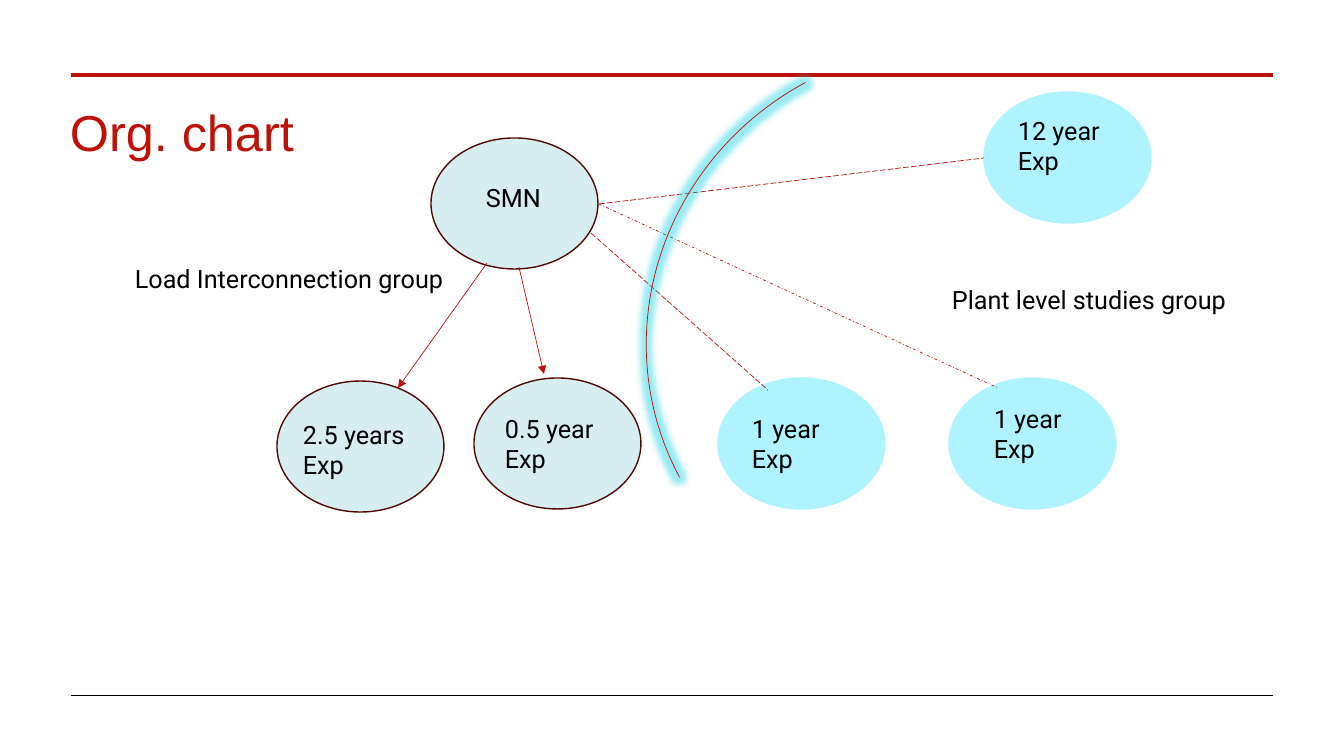
import pptx
import pptx.dml.color
import pptx.enum.dml
import pptx.enum.shapes
import pptx.enum.text
import pptx.oxml
import pptx.oxml.ns
import pptx.util

RED, BLACK, MAROON = "BD1209", "000000", "530804"
PALE, CYAN, GLOW = "D7EEF1", "AEF3FF", "00CCE0"
DASH = pptx.enum.dml.MSO_LINE
SHAPE = pptx.enum.shapes.MSO_SHAPE


def px(n):
    return round(n * 914400 / 100.8)


def color(code):
    return pptx.dml.color.RGBColor.from_string(code)


def add_xml(node, xml):
    node.append(pptx.oxml.parse_xml(xml.replace(" ", f" {pptx.oxml.ns.nsdecls('a')} ", 1)))


class Chart:
    """Draws the parts of an org chart on one slide."""

    def __init__(self, slide, font="Roboto", size=18):
        self.items = slide.shapes
        self.font = font
        self.size = size

    def line(self, x1, y1, x2, y2, hue=RED, width=0.5, dash=None, arrow=False):
        link = self.items.add_connector(
            pptx.enum.shapes.MSO_CONNECTOR.STRAIGHT, px(x1), px(y1), px(x2), px(y2))
        link.line.color.rgb = color(hue)
        link.line.width = pptx.util.Pt(width)
        if dash:
            link.line.dash_style = dash
        if arrow:
            add_xml(link._element.spPr.ln, '<a:tailEnd type="triangle"/>')
        add_xml(link._element.spPr, "<a:effectLst />")

    def oval(self, x, y, fill, edge):
        oval = self.items.add_shape(SHAPE.OVAL, px(x), px(y), px(167), px(131))
        oval.shadow.inherit = False
        oval.fill.solid()
        oval.fill.fore_color.rgb = color(fill)
        oval.line.color.rgb = color(edge)
        oval.line.width = pptx.util.Pt(1)

    def arc(self, x, y, w, h, turn):
        arc = self.items.add_shape(SHAPE.ARC, px(x), px(y), px(w), px(h))
        arc.rotation = turn
        arc.fill.background()
        arc.line.color.rgb = color(RED)
        arc.line.width = pptx.util.Pt(0.5)
        add_xml(arc._element.spPr,
                f'<a:effectLst ><a:glow rad="{px(11)}"><a:srgbClr val="{GLOW}">'
                '<a:alpha val="40000"/></a:srgbClr></a:glow></a:effectLst>')

    def text(self, x, y, w, h, *rows, font=None, size=None, hue=BLACK, space=1.0, wrap=False):
        frame = self.items.add_textbox(px(x), px(y), px(w), px(h)).text_frame
        frame.word_wrap = wrap
        if not wrap:
            frame.auto_size = pptx.enum.text.MSO_AUTO_SIZE.SHAPE_TO_FIT_TEXT
        frame.text = "\n".join(rows)
        for para in frame.paragraphs:
            para.line_spacing = space
            para.font.name = font or self.font
            para.font.size = pptx.util.Pt(size or self.size)
            para.font.color.rgb = color(hue)


def main():
    deck = pptx.Presentation()
    deck.slide_width, deck.slide_height = px(1344), px(756)
    chart = Chart(deck.slides.add_slide(deck.slide_layouts[6]))

    chart.line(71, 75, 1273, 75, width=3)
    chart.line(71, 695, 1273, 695, hue=BLACK)
    chart.text(60, 105, 1212, 119, "Org. chart",
               font="Arial", size=36, hue=RED, space=0.85, wrap=True)

    for x, y in ((431, 138), (277, 381), (474, 378)):
        chart.oval(x, y, PALE, MAROON)
    for x, y in ((718, 378), (949, 378), (984, 92)):
        chart.oval(x, y, CYAN, CYAN)

    chart.line(591, 233, 768, 390, dash=DASH.LONG_DASH)
    chart.line(599, 204, 998, 388, dash=DASH.DASH_DOT)
    chart.line(599, 204, 984, 158, dash=DASH.LONG_DASH)
    chart.line(487, 263, 398, 388, arrow=True)
    chart.line(519, 267, 544, 374, arrow=True)
    chart.arc(654, 38, 576, 596, 241.7)

    for x, y, w, name in ((476, 177, 79, "SMN"),
                          (125, 258, 339, "Load Interconnection group"),
                          (942, 279, 297, "Plant level studies group")):
        chart.text(x, y, w, 40, name)
    for x, y, w, time in ((293, 414, 138, "2.5 years"), (495, 408, 118, "0.5 year"),
                          (742, 408, 97, "1 year"), (984, 398, 97, "1 year"),
                          (1008, 110, 111, "12 year")):
        chart.text(x, y, w, 72, time, "Exp")
    deck.save("out.pptx")


if __name__ == "__main__":
    main()
